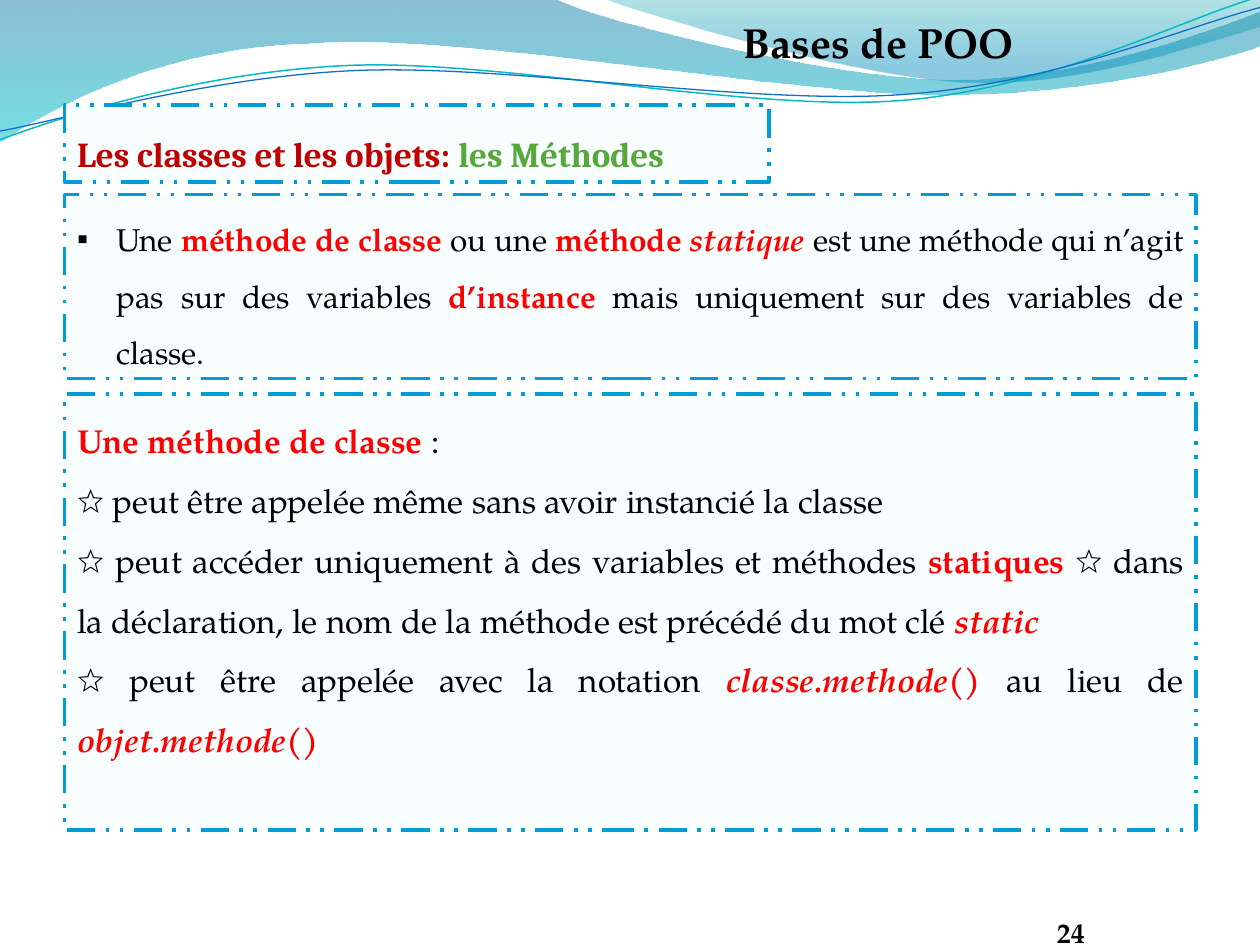
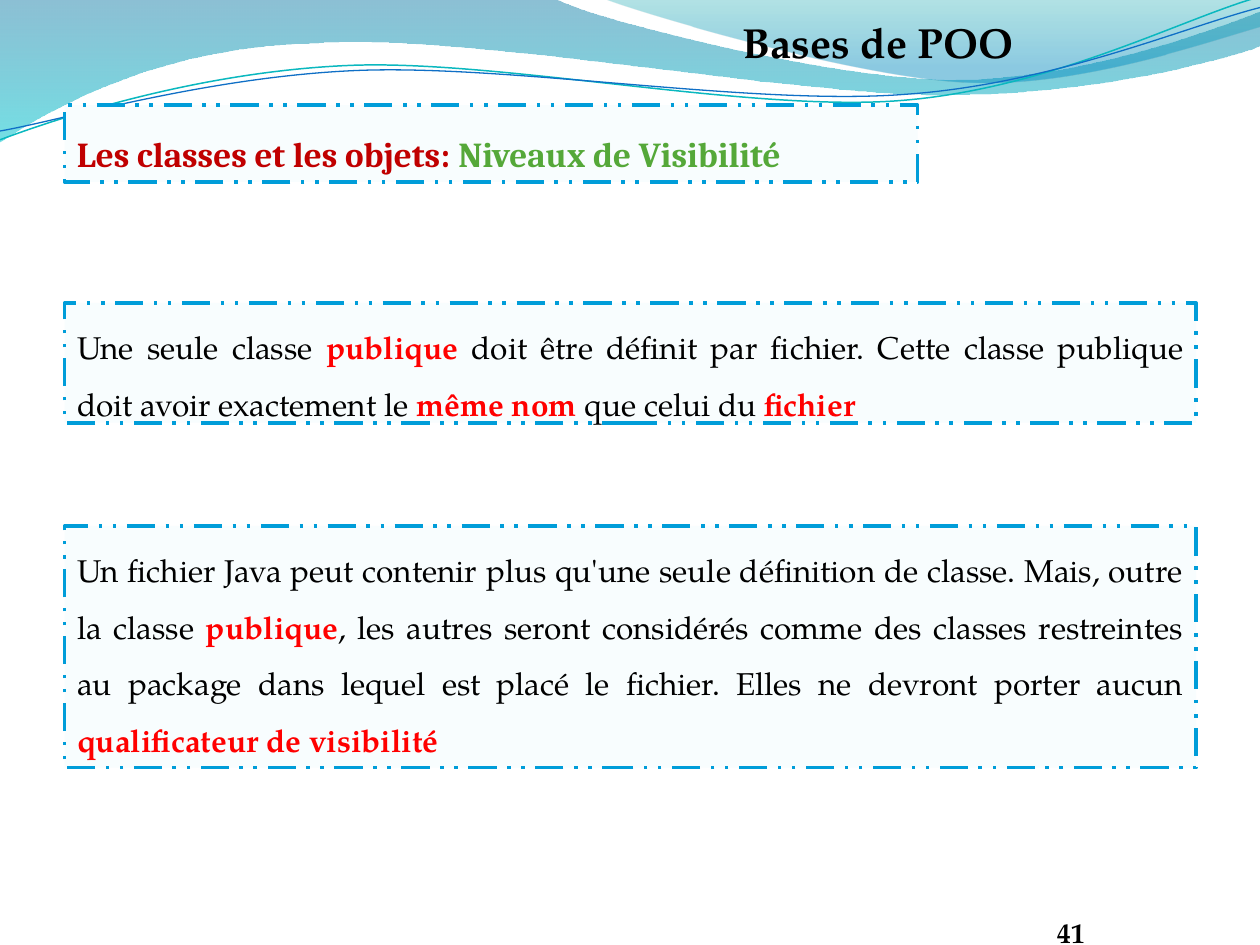
"""Builds two course slides on Java methods and visibility."""
from lxml.etree import SubElement
from pptx import Presentation
from pptx.dml.color import RGBColor
from pptx.enum.dml import MSO_LINE
from pptx.enum.shapes import MSO_SHAPE
from pptx.enum.text import MSO_ANCHOR, MSO_AUTO_SIZE, PP_ALIGN
from pptx.oxml.ns import qn
from pptx.util import Inches, Pt

HUES = {"ink": "000000", "red": "FF0000", "dark": "C00000", "green": "55A839",
        "pale": "F8FDFE", "edge": "009DD9", "teal": "0AB8BF", "blue": "0F6FC6"}
SERIF = "TeX Gyre Pagella"
HEAD = {"font": "Cambria", "size": 20, "base": "dark", "mark": "green", "bold": True}
BOLD = {"font": SERIF, "base": "ink", "mark": "red", "bold": True}
BODY = {"font": SERIF, "base": "ink", "mark": "red", "bold": False}
LEFT, WIDE = 5.13, 89.8

WAVES = [
    {"start": (0, 0), "fill": [(0, "0074A1", 45), (1, "00C6CF", 55)], "steps": [
        (4.4, -0.01), (4.76, 0.17, 6.64, 0.63, 7.58, 0.63),
        (8.53, 0.63, 9.58, 0.26, 10, 0.09), (10.01, 0.36),
        (9.83, 0.44, 8.7, 0.76, 7.46, 0.75), (6.22, 0.75, 3.82, 0.28, 2.57, 0.34),
        (1.29, 0.36, 0.46, 0.83, -0.01, 1.13)]},
    {"start": (4.79, -0.01), "fill": [(0, "00A1A9", 30), (0.8, "008BBF", 45)], "steps": [
        (5.09, 0.11, 6.82, 0.62, 7.69, 0.65), (8.56, 0.69, 9.61, 0.32, 10, 0.21),
        (10, 0)]},
    {"start": (0, 1.11), "line": ("teal", 0.85), "steps": [
        (0.48, 0.93, 1.58, 0.57, 2.77, 0.52), (3.95, 0.47, 5.93, 0.89, 7.13, 0.8),
        (8.33, 0.71, 9.38, 0.15, 9.98, -0.02)]},
    {"start": (0, 1.04), "line": ("blue", 0.75), "steps": [
        (0.47, 0.96, 1.64, 0.61, 2.83, 0.56), (4.03, 0.51, 5.97, 0.84, 7.17, 0.75),
        (8.36, 0.67, 9.41, 0.21, 10, 0.06)]},
]

PAGES = [
    {"page": "24", "head": "Les classes et les objets: *les Méthodes", "span": 55.9, "boxes": [
        {"top": 20.6, "tall": 19.47, "size": 18, "sign": "▪", "lines": [
            "Une *méthode de classe *ou une *méthode **_statique *est une méthode qui n’agit "
            "pas sur des variables *d’instance* mais uniquement sur des variables de classe. "]},
        {"top": 41.7, "tall": 46.13, "size": 19, "lines": [
            "*Une méthode de classe *:",
            "☆ peut être appelée même sans avoir instancié la classe",
            "☆ peut accéder uniquement à des variables et méthodes *statiques *☆ dans la "
            "déclaration, le nom de la méthode est précédé du mot clé *_static",
            "☆ peut être appelée avec la notation *_classe.methode() *au lieu de "
            "*_objet.methode() "]}]},
    {"page": "41", "head": "Les classes et les objets: *Niveaux de Visibilité", "span": 67.7, "boxes": [
        {"top": 32.04, "tall": 12.7, "size": 18, "lines": [
            "Une seule classe *publique* doit être définit par fichier. Cette classe publique "
            "doit avoir exactement le *même nom *que celui du *fichier"]},
        {"top": 55.64, "tall": 25.6, "size": 18, "lines": [
            "Un fichier Java peut contenir plus qu'une seule définition de classe. Mais, outre "
            "la classe *publique*, les autres seront considérés comme des classes restreintes "
            "au package dans lequel est placé le fichier. Elles ne devront porter aucun "
            "*qualificateur de visibilité"]}]},
]

deck = Presentation()
deck.slide_width, deck.slide_height = Inches(10), Inches(7.5)
COL, ROW = deck.slide_width / 100, deck.slide_height / 100


def place(shape, left, top, wide, tall):
    """Puts a shape on the grid of hundredths."""
    shape.left, shape.top = round(left * COL), round(top * ROW)
    shape.width, shape.height = round(wide * COL), round(tall * ROW)


def write(shape, lines, style, align, space, sign=None):
    """Writes lines where * toggles the marked style and _ slants it."""
    frame = shape.text_frame
    frame.word_wrap, frame.auto_size = True, MSO_AUTO_SIZE.NONE
    frame.vertical_anchor = MSO_ANCHOR.TOP
    frame.text = "\n".join(lines)
    for para, line in zip(frame.paragraphs, lines):
        para.text = ""
        para.alignment, para.line_spacing = align, space
        para.space_before = para.space_after = Pt(0)
        prop = para._p.get_or_add_pPr()
        dent = Inches(0.31) if sign else 0
        prop.set("marL", str(dent))
        prop.set("indent", str(-dent))
        if sign:
            SubElement(prop, qn("a:buChar")).set("char", sign)
        else:
            SubElement(prop, qn("a:buNone"))
        for turn, part in enumerate(line.split("*")):
            if not part:
                continue
            run = para.add_run()
            run.text = part.lstrip("_")
            marked = turn % 2 == 1
            run.font.name, run.font.size = style["font"], Pt(style["size"])
            run.font.bold = marked or style["bold"]
            run.font.italic = part.startswith("_")
            run.font.color.rgb = RGBColor.from_string(HUES[style["mark" if marked else "base"]])


layout = deck.slide_layouts[3]
for spare in list(layout.placeholders):
    if spare.placeholder_format.idx >= 10:
        layout.shapes._spTree.remove(spare.element)
slides = [deck.slides.add_slide(layout) for _ in PAGES]

for rank, wave in enumerate(WAVES):
    pen = slides[0].shapes.build_freeform(*[Inches(v) for v in wave["start"]])
    ends = [(Inches(step[-2]), Inches(step[-1])) for step in wave["steps"]]
    pen.add_line_segments(ends, close="fill" in wave)
    shape = pen.convert_to_shape()
    shape.shadow.inherit = False
    for part, step in zip(list(shape.element.iter(qn("a:lnTo"))), wave["steps"]):
        if len(step) == 6:
            part.clear()
            part.tag = qn("a:cubicBezTo")
            for x, y in zip(step[::2], step[1::2]):
                knot = SubElement(part, qn("a:pt"))
                knot.set("x", str(Inches(x) - shape.left))
                knot.set("y", str(Inches(y) - shape.top))
    if "fill" in wave:
        shape.line.fill.background()
        shape.fill.gradient()
        shape.fill.gradient_angle = 270
        for stop, (spot, hue, _) in zip(shape.fill.gradient_stops, wave["fill"]):
            stop.position, stop.color.rgb = spot, RGBColor.from_string(hue)
        for tint, (_, _, share) in zip(shape.element.iter(qn("a:srgbClr")), wave["fill"]):
            SubElement(tint, qn("a:alpha")).set("val", str(share * 1000))
    else:
        hue, thick = wave["line"]
        shape.fill.background()
        shape.line.color.rgb, shape.line.width = RGBColor.from_string(HUES[hue]), Pt(thick)
    shape.element.nvSpPr.cNvPr.set("id", str(20 + rank))
    layout.shapes._spTree.append(shape.element)

for slide, page in zip(slides, PAGES):
    title, *bodies = slide.placeholders
    place(title, 50.8, 1.73, 37.8, 6.13)
    write(title, ["Bases de POO"], {**BOLD, "size": 24}, PP_ALIGN.CENTER, 0.9)

    head = slide.shapes.add_shape(MSO_SHAPE.RECTANGLE, 0, 0, 0, 0)
    head.shadow.inherit = False
    place(head, LEFT, 11.12, page["span"], 8.13)
    write(head, [page["head"]], HEAD, PP_ALIGN.JUSTIFY, 1.5)
    for body, box in zip(bodies, page["boxes"]):
        place(body, LEFT, box["top"], WIDE, box["tall"])
        write(body, box["lines"], {**BODY, "size": box["size"]}, PP_ALIGN.JUSTIFY, 1.5,
              box.get("sign"))
    for panel in [head, *bodies]:
        panel.fill.solid()
        panel.fill.fore_color.rgb = RGBColor.from_string(HUES["pale"])
        panel.line.color.rgb = RGBColor.from_string(HUES["edge"])
        panel.line.width, panel.line.dash_style = Pt(2), MSO_LINE.DASH_DOT_DOT

    foot = slide.shapes.add_textbox(0, 0, 0, 0)
    place(foot, 73.34, 95.07, 23.3, 5.33)
    write(foot, [page["page"]], {**BOLD, "size": 16}, PP_ALIGN.CENTER, 1)
    frame = foot.text_frame
    frame.vertical_anchor = MSO_ANCHOR.BOTTOM
    frame.margin_left = frame.margin_right = frame.margin_top = frame.margin_bottom = 0

deck.save("out.pptx")
